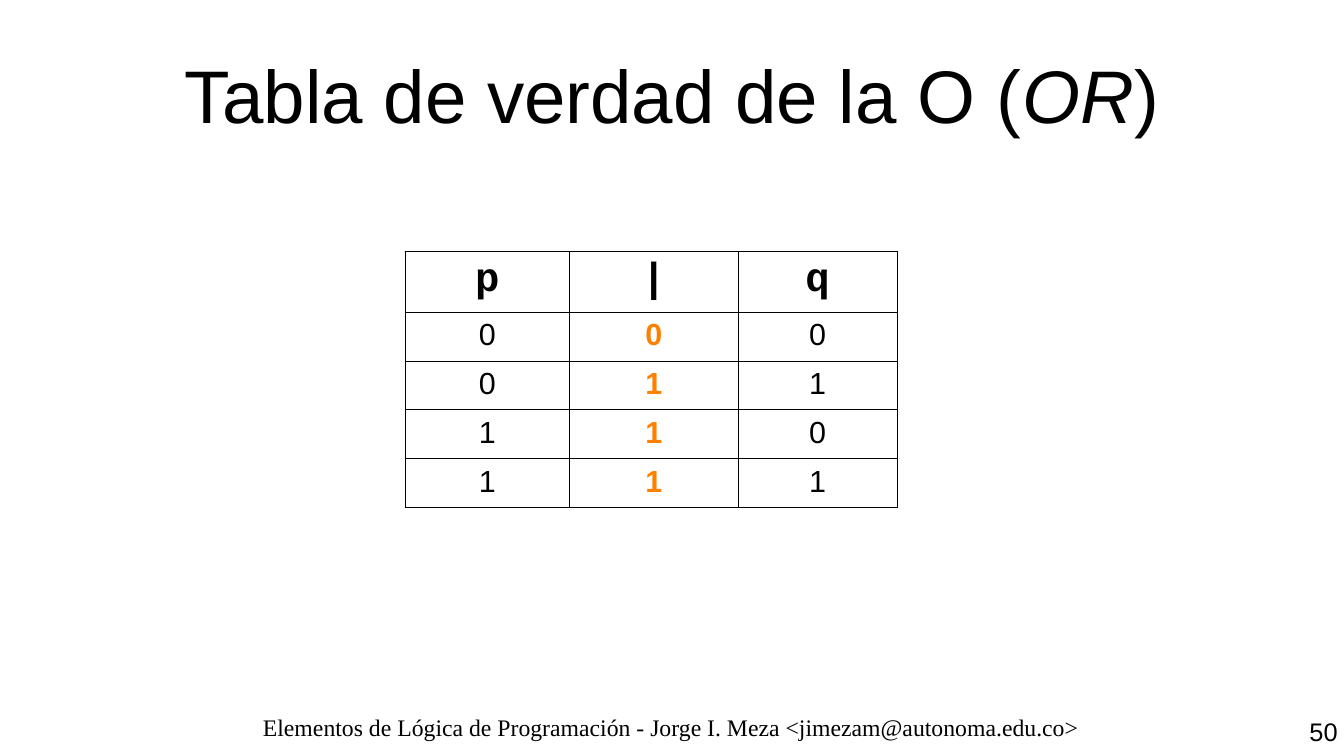
from pptx import Presentation
from pptx.dml.color import RGBColor
from pptx.enum.text import MSO_ANCHOR as Anchor, MSO_AUTO_SIZE as Auto, PP_ALIGN as Align
from pptx.oxml.ns import qn
from pptx.util import Cm, Pt
from lxml.etree import SubElement as Sub

BLACK = RGBColor(0, 0, 0)
WHITE = RGBColor(255, 255, 255)
ORANGE = RGBColor(255, 128, 0)


def write(para, text, font="Arial", size=18, color=BLACK, bold=False,
          italic=False, align=Align.CENTER):
    """Add one formatted run to a paragraph."""
    para.alignment = align
    run = para.add_run()
    run.text = text
    face = run.font
    face.name, face.size = font, Pt(size)
    face.bold, face.italic = bold, italic
    face.color.rgb = color


class Deck:
    line = Pt(0.57)

    def __init__(self, width, height):
        self.prs = Presentation()
        self.prs.slide_width, self.prs.slide_height = Cm(width), Cm(height)
        self.slide = self.prs.slides.add_slide(self.prs.slide_layouts[5])
        fill = self.slide.background.fill
        fill.solid()
        fill.fore_color.rgb = WHITE

    def frame(self, shape, pad=(0, 0), anchor=Anchor.TOP):
        box = shape.text_frame
        box.word_wrap, box.auto_size = True, Auto.NONE
        box.vertical_anchor = anchor
        box.margin_left = box.margin_right = Cm(pad[0])
        box.margin_top = box.margin_bottom = Cm(pad[1])
        return box.paragraphs[0]

    def title(self, parts, left, top, width, height):
        shape = self.slide.shapes.title
        shape.left, shape.top = Cm(left), Cm(top)
        shape.width, shape.height = Cm(width), Cm(height)
        para = self.frame(shape, anchor=Anchor.MIDDLE)
        for text, slant in parts:
            write(para, text, size=44, italic=slant)

    def text(self, text, left, top, width, height, pad=(0, 0), **style):
        shape = self.slide.shapes.add_textbox(
            Cm(left), Cm(top), Cm(width), Cm(height))
        write(self.frame(shape, pad), text, **style)

    def edge(self, cell):
        props = cell._tc.get_or_add_tcPr()
        for side in ("a:lnL", "a:lnR", "a:lnT", "a:lnB"):
            rule = Sub(props, qn(side), w=str(int(self.line)))
            Sub(Sub(rule, qn("a:solidFill")), qn("a:srgbClr"), val=str(BLACK))

    def table(self, rows, left, top, widths, heights, style):
        grid = self.slide.shapes.add_table(
            len(rows), len(widths), Cm(left), Cm(top),
            Cm(sum(widths)), Cm(sum(heights))).table
        grid.first_row = grid.horz_banding = False
        for col, width in zip(grid.columns, widths):
            col.width = Cm(width)
        for r, (row, height) in enumerate(zip(rows, heights)):
            grid.rows[r].height = Cm(height)
            for c, value in enumerate(row):
                cell = grid.cell(r, c)
                self.edge(cell)
                cell.fill.solid()
                cell.fill.fore_color.rgb = WHITE
                cell.margin_left = cell.margin_right = Cm(0.1)
                cell.margin_top = cell.margin_bottom = Cm(0.13)
                write(cell.text_frame.paragraphs[0], value, **style(r, c))


def mark(row, col):
    """Format of a truth table cell: header, result column or input."""
    if row == 0:
        return dict(font="Courier New", size=24, bold=True)
    return dict(color=ORANGE, bold=True) if col == 1 else {}


def main():
    deck = Deck(28, 15.75)

    # Title
    deck.title([("Tabla de verdad de la O (", False), ("OR", True), (")", False)],
               1.4, 0.64, 25.2, 2.64)

    # Truth table
    rows = [("p", "|", "q")]
    rows += [(str(p), str(p | q), str(q)) for p in (0, 1) for q in (0, 1)]
    deck.table(rows, 8.44, 5.23, [3.42, 3.52, 3.31], [1.27] + [1.02] * 4, mark)

    # Footer and page number
    deck.text("Elementos de Lógica de Programación - Jorge I. Meza "
              "<jimezam@autonoma.edu.co>", 1.3, 14.86, 25.37, 0.85,
              font="Times New Roman", size=14)
    deck.text("50", 25.2, 14.8, 2.8, 0.94, pad=(0.13, 0.13),
              size=15, align=Align.RIGHT)

    deck.prs.save("out.pptx")


if __name__ == "__main__":
    main()
